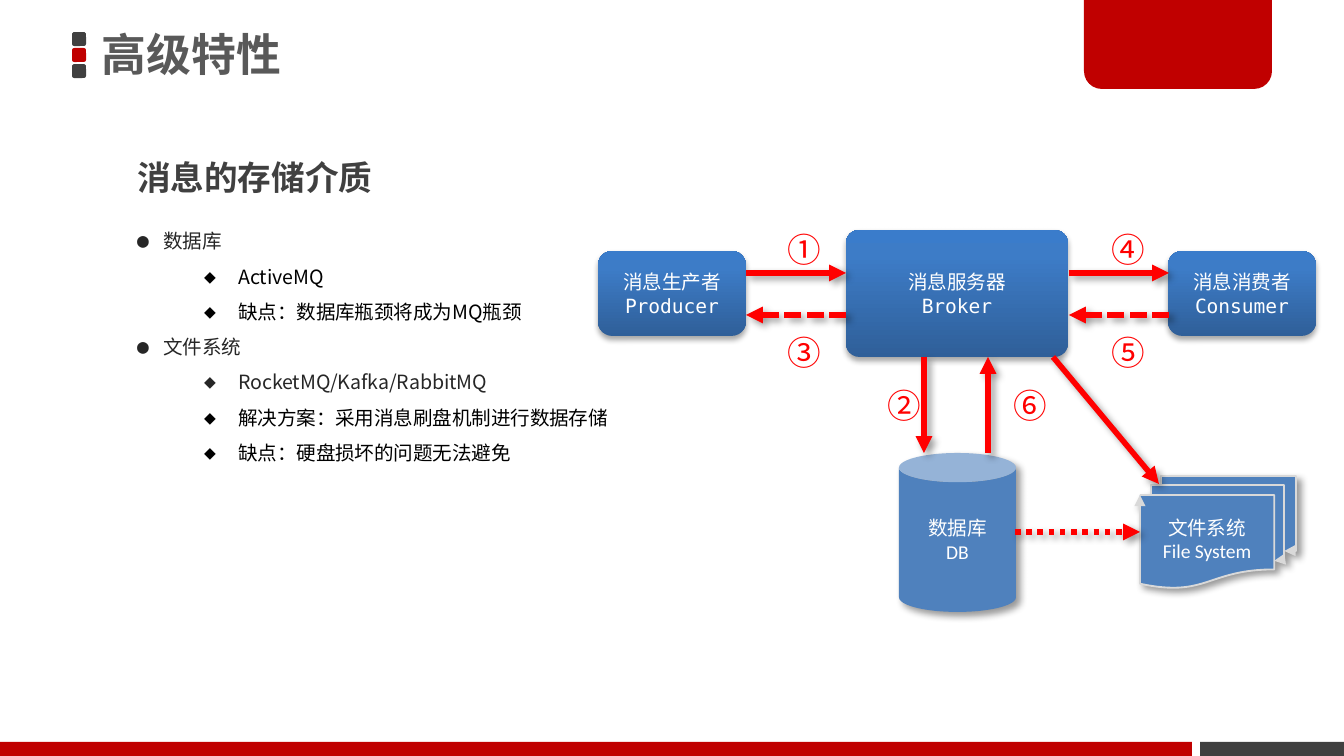
from pptx import Presentation
from pptx.dml.color import RGBColor
from pptx.enum.shapes import MSO_CONNECTOR, MSO_SHAPE
from pptx.enum.text import MSO_ANCHOR, MSO_AUTO_SIZE, PP_ALIGN
from pptx.oxml import parse_xml
from pptx.oxml.ns import nsdecls
from pptx.util import Emu, Pt

SCALE = 914400 / 134.4
NOTO, MONO, SANS = "Noto Sans CJK SC", "DejaVu Sans Mono", "Calibri"
RED, GREY, BLUE, ARROW = "C00000", "404040", "4F81BD", "FF0000"
GRAD = [(0, "2F5F99"), (80, "3D7CC7"), (100, "3A7CCB")]
SOFT, DEEP = (35, 3.1, 1.8, 90), (40, 4, 3, 45)  # opacity, blur, distance, angle

HEADS = [
    ("高级特性", (93, 12, 792, 90), 24, "595959", 0.9),
    ("消息的存储介质", (124, 130, 961, 75), 18, GREY, 1.5),
]
POINTS = [
    (0, "数据库", "262626"),
    (1, "ActiveMQ", "000000"),
    (1, "缺点：数据库瓶颈将成为MQ瓶颈", "000000"),
    (0, "文件系统", "262626"),
    (1, "RocketMQ/Kafka/RabbitMQ", "262626"),
    (1, "解决方案：采用消息刷盘机制进行数据存储", "000000"),
    (1, "缺点：硬盘损坏的问题无法避免", "000000"),
]
BULLETS = [(26, 26, "●"), (101, 34, "◆")]  # left margin, hang, mark
NODES = [
    ("消息服务器", "Broker", (846, 230, 222, 127), 0.105),
    ("消息生产者", "Producer", (598, 251, 148, 85), 0.167),
    ("消息消费者", "Consumer", (1168, 251, 148, 85), 0.167),
]
STORES = [
    ("数据库", "DB", (899, 453, 117, 159), MSO_SHAPE.CAN),
    ("文件系统", "File System", (1140, 476, 156, 112),
     MSO_SHAPE.FLOWCHART_MULTIDOCUMENT),
]
ARROWS = [
    (746, 273, 846, 273, None),
    (1069, 273, 1169, 273, None),
    (846, 315, 746, 315, "sysDash"),
    (1169, 315, 1069, 315, "sysDash"),
    (924, 357, 924, 453, None),
    (988, 453, 988, 357, None),
    (1015, 532, 1140, 532, "sysDot"),
    (1053, 357, 1159, 484, None),
]
STEPS = [("①", 774, 222), ("②", 874, 378), ("③", 774, 325),
         ("④", 1098, 222), ("⑤", 1098, 325), ("⑥", 1000, 378)]


def px(n):
    return Emu(round(n * SCALE))


def rgb(code):
    return RGBColor.from_string(code)


def node(tag, body="", **attrs):
    """Make one DrawingML element."""
    text = " ".join(f'{key}="{val}"' for key, val in attrs.items())
    return parse_xml(f'<a:{tag} {nsdecls("a")} {text}>{body}</a:{tag}>')


def shade(shape, look):
    alpha, blur, dist, angle = look
    body = (f'<a:outerShdw blurRad="{Pt(blur)}" dist="{Pt(dist)}" '
            f'dir="{angle * 60000}" rotWithShape="0"><a:srgbClr val="000000">'
            f'<a:alpha val="{alpha * 1000}"/></a:srgbClr></a:outerShdw>')
    props = shape._element.spPr
    for old in props.findall(node("effectLst").tag):
        props.remove(old)
    props.append(node("effectLst", body))


def tail(line):
    line._get_or_add_ln().append(node("tailEnd", type="triangle"))


def style(para, face, size, color, bold=False):
    for run in para.runs:
        form = {"name": face, "size": Pt(size), "bold": bold}
        for key, val in form.items():
            setattr(run.font, key, val)
        run.font.color.rgb = rgb(color)
        latin = run.font._element.find(node("latin").tag)
        latin.addnext(node("ea", typeface=NOTO))


def block(kind, box, color, adj=None):
    shape = slide.shapes.add_shape(kind, *map(px, box))
    shape.fill.solid()
    shape.fill.fore_color.rgb = rgb(color)
    shape.line.fill.background()
    shape.shadow.inherit = False
    for i, val in enumerate(adj or []):
        shape.adjustments[i] = val
    return shape


def label(shape, lines, face):
    frame = shape.text_frame
    frame.word_wrap = True
    frame.vertical_anchor = MSO_ANCHOR.MIDDLE
    frame.text = "\n".join(lines)
    for para in frame.paragraphs:
        para.alignment = PP_ALIGN.CENTER
        style(para, face, 10.5, "FFFFFF")


def textbox(text, box):
    frame = slide.shapes.add_textbox(*map(px, box)).text_frame
    frame.word_wrap = True
    frame.text = text
    return frame


deck = Presentation()
deck.slide_width, deck.slide_height = px(1344), px(756)
slide = deck.slides.add_slide(deck.slide_layouts[6])

for i, color in enumerate([GREY, RED, GREY]):
    block(MSO_SHAPE.ROUNDED_RECTANGLE, (72, 32 + 16 * i, 14, 14), color)
block(MSO_SHAPE.RECTANGLE, (1200, 742, 144, 14), GREY)
block(MSO_SHAPE.ROUND_2_SAME_RECTANGLE, (1084, 0, 188, 89), RED, [0, 0.2])
block(MSO_SHAPE.RECTANGLE, (0, 742, 1192, 14), RED)

for text, box, size, color, space in HEADS:
    frame = textbox(text, box)
    para = frame.paragraphs[0]
    para.line_spacing = space
    style(para, NOTO, size, color, True)
    if size == 24:
        frame.vertical_anchor = MSO_ANCHOR.MIDDLE
        frame.margin_left = frame.margin_right = px(9)
        frame.margin_top = frame.margin_bottom = px(5)

frame = textbox("\n".join(text for _, text, _ in POINTS), (124, 211, 942, 263))
for para, (level, _, color) in zip(frame.paragraphs, POINTS):
    left, hang, mark = BULLETS[level]
    para.level = level
    para.line_spacing = 1.5
    props = para._p.get_or_add_pPr()
    props.set("marL", str(px(left)))
    props.set("indent", str(px(-hang)))
    props.append(node("buFont", typeface=MONO))
    props.append(node("buChar", char=mark))
    style(para, NOTO, 10.5, color)

stops = "".join(f'<a:gs pos="{pos * 1000}"><a:srgbClr val="{color}"/></a:gs>'
                for pos, color in GRAD)
for name, sub, box, adj in NODES:
    shape = block(MSO_SHAPE.ROUNDED_RECTANGLE, box, BLUE, [adj])
    props = shape._element.spPr
    props.replace(props.find(node("solidFill").tag), node(
        "gradFill", f'<a:gsLst>{stops}</a:gsLst><a:lin ang="16200000"/>'))
    shade(shape, SOFT)
    label(shape, (name, sub), MONO)

for name, sub, box, kind in STORES:
    shape = block(kind, box, BLUE)
    if kind == MSO_SHAPE.FLOWCHART_MULTIDOCUMENT:
        shape.line.color.rgb = rgb("D9D9D9")
        shape.line.width = Pt(1)
        tail(shape.line)
    shade(shape, DEEP)
    label(shape, (name, sub), SANS)

for *ends, dash in ARROWS:
    link = slide.shapes.add_connector(MSO_CONNECTOR.STRAIGHT, *map(px, ends))
    link.line.color.rgb = rgb(ARROW)
    link.line.width = Pt(3)
    if dash:
        link.line._get_or_add_ln().append(node("prstDash", val=dash))
    tail(link.line)
    shade(link, DEEP)

for mark, left, top in STEPS:
    frame = textbox(mark, (left, top, 42, 54))
    frame.auto_size = MSO_AUTO_SIZE.SHAPE_TO_FIT_TEXT
    frame.paragraphs[0].alignment = PP_ALIGN.CENTER
    style(frame.paragraphs[0], NOTO, 18, ARROW)

deck.save("out.pptx")
